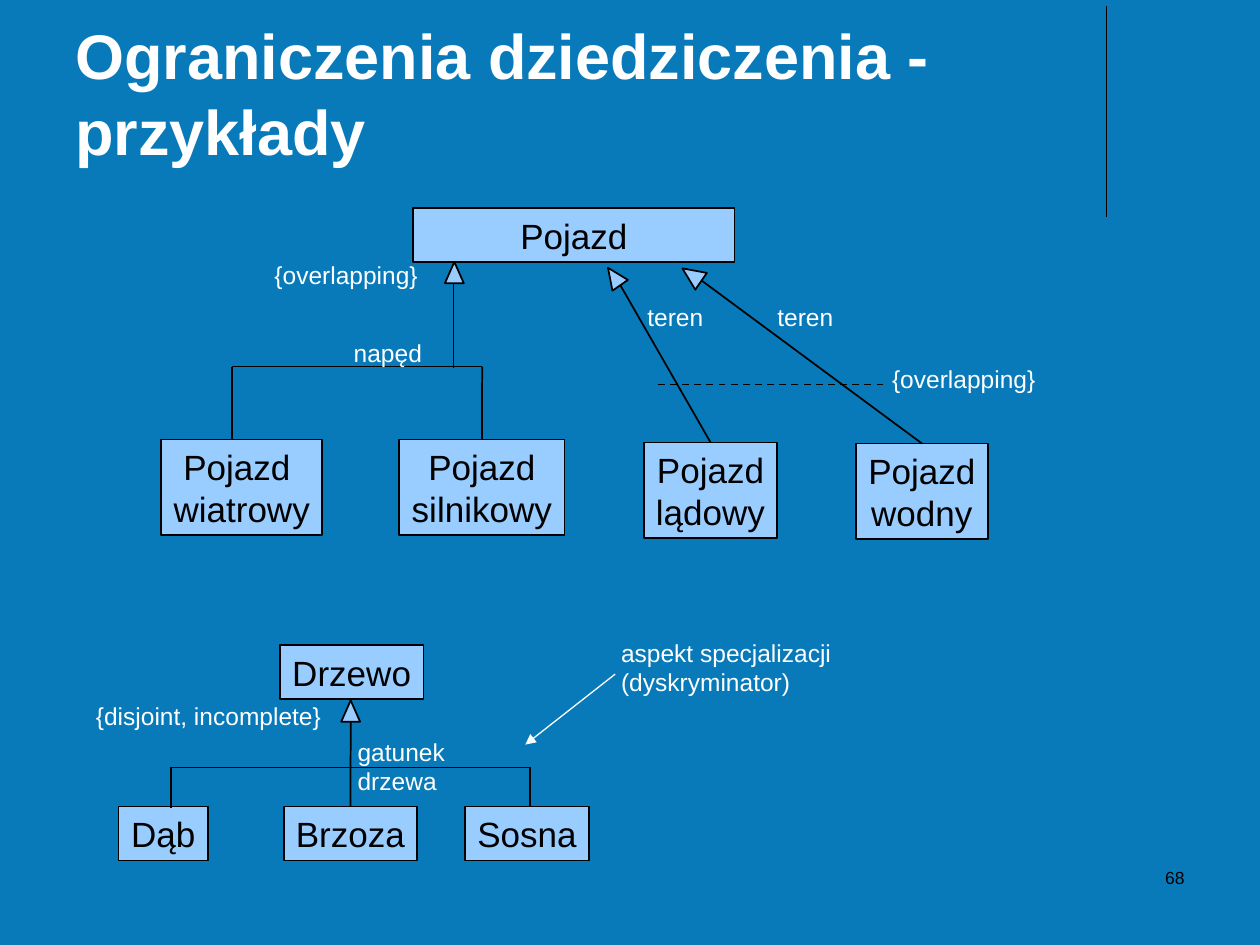
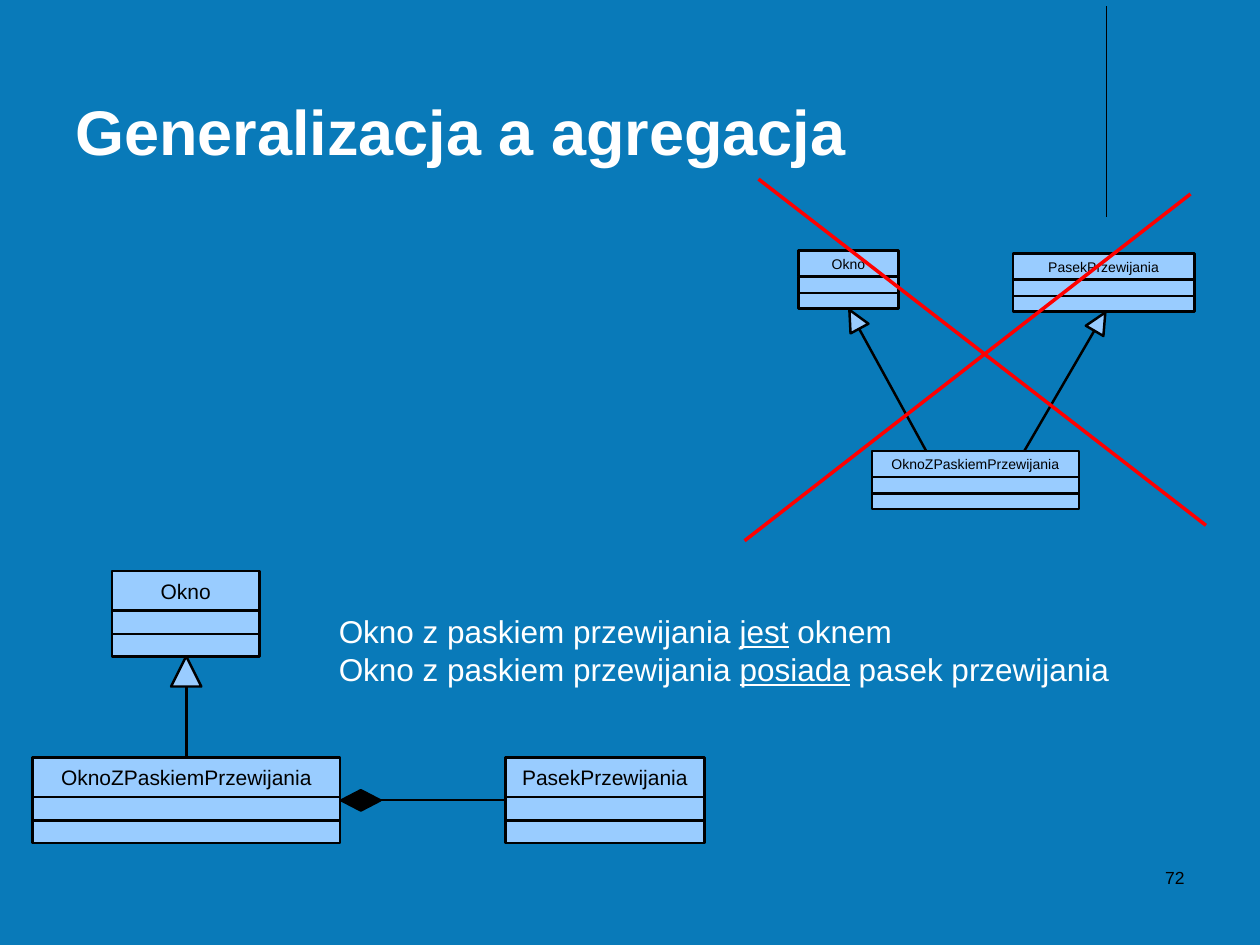
from dataclasses import dataclass
from typing import Optional

from lxml import etree
from pptx import Presentation
from pptx.dml.color import RGBColor
from pptx.enum.dml import MSO_LINE_DASH_STYLE as Dash
from pptx.enum.shapes import MSO_CONNECTOR as Connector, MSO_SHAPE as Shape
from pptx.enum.text import MSO_ANCHOR as Anchor, PP_ALIGN as Align
from pptx.oxml.ns import qn
from pptx.util import Cm, Pt

BLUE = RGBColor(0x09, 0x7A, 0xB9)
LIGHT_BLUE = RGBColor(0x99, 0xCC, 0xFF)
BLACK = RGBColor(0x00, 0x00, 0x00)
WHITE = RGBColor(0xFF, 0xFF, 0xFF)
RED = RGBColor(0xFF, 0x00, 0x00)
FONT = "Arial"
THIN, NORMAL, BOLD_LINE, CROSS = 0.75, 1, 1.42, 2
TOP = 0  # connection site in the middle of the top side


@dataclass
class Box:
    """A place on the slide in centimetres, with optional text."""
    left: float
    top: float
    width: float
    height: float
    text: str = ""
    align: Align = Align.CENTER


@dataclass
class Line:
    """A straight line in centimetres; start_box joins it to a box's top."""
    x1: float
    y1: float
    x2: float
    y2: float
    start_box: Optional[str] = None


@dataclass
class Triangle:
    """A generalization arrowhead."""
    left: float
    top: float
    width: float
    height: float
    rotation: float = 0


@dataclass
class ClassSize:
    """Compartment heights and text size of a class symbol."""
    heights: tuple
    font_size: int


def place(box) -> tuple:
    return Cm(box.left), Cm(box.top), Cm(box.width), Cm(box.height)


def format_text(text_frame, size: float, color: RGBColor, align: Align, bold: bool = False) -> None:
    for paragraph in text_frame.paragraphs:
        paragraph.alignment = align
        for run in paragraph.runs:
            run.font.name = FONT
            run.font.size = Pt(size)
            run.font.bold = bold
            run.font.color.rgb = color


def add_label(slide, box: Box, size: float = 14, color: RGBColor = WHITE,
              bold: bool = False, wrap: bool = False):
    text_frame = slide.shapes.add_textbox(*place(box)).text_frame
    text_frame.word_wrap = wrap
    text_frame.text = box.text
    format_text(text_frame, size, color, box.align, bold)
    return text_frame


def add_figure(slide, kind: Shape, box, width: float = NORMAL, fill: RGBColor = LIGHT_BLUE):
    shape = slide.shapes.add_shape(kind, *place(box))
    shape.shadow.inherit = False
    shape.fill.solid()
    shape.fill.fore_color.rgb = fill
    shape.line.color.rgb = BLACK
    shape.line.width = Pt(width)
    return shape


def add_rectangle(slide, box: Box, size: float = 20, width: float = NORMAL,
                  anchor: Anchor = Anchor.TOP):
    shape = add_figure(slide, Shape.RECTANGLE, box, width)
    if box.text:
        text_frame = shape.text_frame
        text_frame.word_wrap = False
        text_frame.vertical_anchor = anchor
        text_frame.text = box.text
        format_text(text_frame, size, BLACK, box.align)
    return shape


def add_triangle(slide, triangle: Triangle, width: float = NORMAL) -> None:
    add_figure(slide, Shape.ISOSCELES_TRIANGLE, triangle, width).rotation = triangle.rotation


def add_line(slide, line: Line, width: float = NORMAL, color: RGBColor = BLACK,
             boxes: Optional[dict] = None):
    connector = slide.shapes.add_connector(
        Connector.STRAIGHT, Cm(line.x1), Cm(line.y1), Cm(line.x2), Cm(line.y2))
    if boxes and line.start_box:
        connector.begin_connect(boxes[line.start_box], TOP)
    connector.line.color.rgb = color
    connector.line.width = Pt(width)
    etree.SubElement(connector._element.spPr, qn("a:effectLst"))
    return connector


def add_arrowhead(connector) -> None:
    outline = connector.line._get_or_add_ln()
    etree.SubElement(outline, qn("a:tailEnd"), type="triangle")


def add_class(slide, name: str, left: float, top: float, width: float, size: ClassSize):
    """Draw a class symbol and return its name compartment."""
    header = None
    for index, height in enumerate(size.heights):
        box = Box(left, top, width, height, "" if index else name)
        compartment = add_rectangle(slide, box, size.font_size, BOLD_LINE, Anchor.MIDDLE)
        header = header or compartment
        top += height
    return header


def new_slide(presentation, title: str, number: int):
    slide = presentation.slides.add_slide(presentation.slide_layouts[6])
    slide.background.fill.solid()
    slide.background.fill.fore_color.rgb = BLUE
    add_line(slide, Line(22.3, 0.13, 22.3, 4.37), THIN)
    title_box = Box(1.27, 0.33, 20.96, 3.18, title, Align.LEFT)
    add_label(slide, title_box, 36, bold=True, wrap=True).vertical_anchor = Anchor.BOTTOM
    add_label(slide, Box(18.21, 17.35, 5.92, 1.27, str(number), Align.RIGHT), 10, BLACK, wrap=True)
    return slide


# Slide with inheritance constraints
CONSTRAINT_BOXES = [
    # Vehicles
    Box(8.33, 4.19, 6.48, 1.09, "Pojazd"),
    Box(3.25, 8.86, 3.25, 1.93, "Pojazd \nwiatrowy"),
    Box(8.05, 8.86, 3.33, 1.93, "Pojazd\nsilnikowy"),
    Box(12.98, 8.92, 2.69, 1.93, "Pojazd\nlądowy"),
    Box(17.25, 8.94, 2.67, 1.93, "Pojazd\nwodny"),
    # Trees
    Box(5.64, 13, 2.9, 1.09, "Drzewo"),
    Box(2.39, 16.26, 1.8, 1.09, "Dąb"),
    Box(5.72, 16.26, 2.69, 1.09, "Brzoza"),
    Box(9.37, 16.26, 2.51, 1.09, "Sosna"),
]
CONSTRAINT_LINES = [
    # Terrain
    Line(18.59, 8.94, 14.15, 5.66, "Pojazd\nwodny"),
    Line(14.33, 8.92, 12.5, 5.74, "Pojazd\nlądowy"),
    # Drive
    Line(9.14, 5.72, 9.14, 7.42),
    Line(4.67, 7.39, 9.72, 7.39),
    Line(4.67, 7.39, 4.67, 8.86),
    Line(9.72, 8.86, 9.72, 7.39, "Pojazd\nsilnikowy"),
    # Tree species
    Line(7.07, 16.26, 7.07, 14.55, "Brzoza"),
    Line(3.45, 15.47, 10.69, 15.47),
    Line(3.45, 15.47, 3.45, 16.28),
    Line(10.69, 15.47, 10.69, 16.26),
]
CONSTRAINT_TRIANGLES = [
    Triangle(13.74, 5.31, 0.41, 0.46, 304.7),
    Triangle(12.19, 5.36, 0.38, 0.43, 325.2),
    Triangle(8.97, 5.28, 0.38, 0.43),
    Triangle(6.88, 14.12, 0.38, 0.43),
]
CONSTRAINT_LABELS = [
    Box(5.28, 5.11, 3.4, 0.85, "{overlapping}"),
    Box(6.88, 6.68, 1.88, 0.85, "napęd"),
    Box(15.42, 5.97, 1.63, 0.85, "teren"),
    Box(12.8, 5.97, 1.63, 0.85, "teren"),
    Box(17.73, 7.21, 3.4, 0.85, "{overlapping}"),
    Box(1.68, 14, 5.05, 0.85, "{disjoint, incomplete}"),
    Box(6.96, 14.73, 3.99, 0.85, "gatunek drzewa", Align.LEFT),
    Box(12.27, 12.73, 4.75, 1.45, "aspekt specjalizacji\n(dyskryminator)", Align.LEFT),
]


def build_constraints(presentation) -> None:
    slide = new_slide(presentation, "Ograniczenia dziedziczenia - przykłady", 68)
    boxes = {box.text: add_rectangle(slide, box) for box in CONSTRAINT_BOXES}
    for line in CONSTRAINT_LINES:
        add_line(slide, line, boxes=boxes)
    for triangle in CONSTRAINT_TRIANGLES:
        add_triangle(slide, triangle)
    for label in CONSTRAINT_LABELS:
        add_label(slide, label)
    # Constraint shared by both terrain lines, and pointer to the discriminator
    add_line(slide, Line(17.81, 7.75, 13.23, 7.75)).line.dash_style = Dash.DASH
    add_arrowhead(add_line(slide, Line(12.4, 13.59, 10.59, 15.01), THIN, WHITE))


# Slide comparing generalization with aggregation
SMALL = ClassSize((0.53, 0.33, 0.31), 8)
LARGE = ClassSize((0.8, 0.47, 0.46), 12)
WINDOW, SCROLLBAR, SCROLL_WINDOW = "Okno", "PasekPrzewijania", "OknoZPaskiemPrzewijania"
STATEMENTS = [("jest", " oknem"), ("posiada", " pasek przewijania")]


def add_statements(slide) -> None:
    beginning = "Okno z paskiem przewijania "
    text = "\n".join([beginning] * len(STATEMENTS))
    text_frame = add_label(slide, Box(6.58, 12.22, 16.03, 1.78, text, Align.LEFT))
    for paragraph, (verb, ending) in zip(text_frame.paragraphs, STATEMENTS):
        verb_run = paragraph.add_run()
        verb_run.text = verb
        verb_run.font.underline = True
        paragraph.add_run().text = ending
    format_text(text_frame, 18, WHITE, Align.LEFT)


def build_aggregation(presentation) -> None:
    slide = new_slide(presentation, "Generalizacja a agregacja", 72)

    # Rejected design: multiple inheritance
    add_class(slide, WINDOW, 16.1, 5.05, 2.01, SMALL)
    add_class(slide, SCROLLBAR, 20.42, 5.11, 3.66, SMALL)
    add_class(slide, SCROLL_WINDOW, 17.58, 9.09, 4.17, SMALL)
    for line in (Line(18.67, 9.09, 17.32, 6.63), Line(20.65, 9.09, 22.07, 6.65)):
        add_line(slide, line, BOLD_LINE)
    for triangle in (Triangle(17.02, 6.22, 0.41, 0.43, 331.6),
                     Triangle(21.97, 6.27, 0.41, 0.43, 30.3)):
        add_triangle(slide, triangle, BOLD_LINE)
    for stroke in (Line(15.01, 10.9, 24, 3.91), Line(24.31, 10.59, 15.29, 3.61)):
        add_line(slide, stroke, CROSS, RED)

    add_statements(slide)

    # Accepted design: inheritance and composition
    add_class(slide, WINDOW, 2.26, 11.51, 2.97, LARGE)
    add_class(slide, SCROLLBAR, 10.19, 15.27, 4.01, LARGE)
    whole = add_class(slide, SCROLL_WINDOW, 0.66, 15.27, 6.2, LARGE)
    add_line(slide, Line(3.76, 15.27, 3.76, 13.84, SCROLL_WINDOW), BOLD_LINE,
             boxes={SCROLL_WINDOW: whole})
    add_line(slide, Line(7.67, 16.13, 10.19, 16.13), BOLD_LINE)
    add_triangle(slide, Triangle(3.45, 13.23, 0.61, 0.61), BOLD_LINE)
    add_figure(slide, Shape.DIAMOND, Box(6.88, 15.93, 0.79, 0.41), BOLD_LINE, BLACK)


def main() -> None:
    presentation = Presentation()
    presentation.slide_width = Cm(25.4)
    presentation.slide_height = Cm(19.05)
    build_constraints(presentation)
    build_aggregation(presentation)
    presentation.save("out.pptx")


if __name__ == "__main__":
    main()
